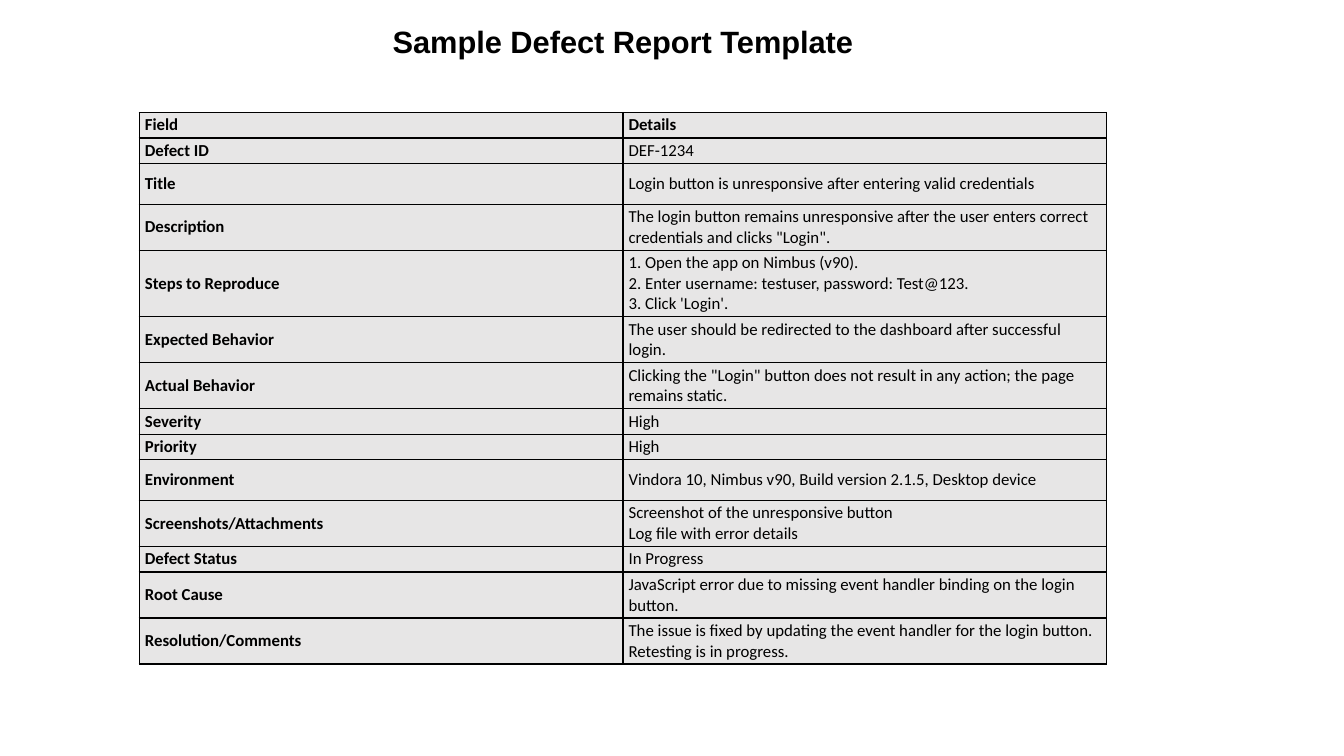
import pptx
import pptx.util
import pptx.dml.color
import pptx.enum.text
import pptx.oxml
import pptx.oxml.ns
from lxml import etree

Pt = pptx.util.Pt

# Content: field, detail lines, row height
HEADING = "Sample Defect Report Template"
ONE_LINE, PADDED, TWO_LINES, THREE_LINES = 18.3, 29, 32.8, 47.3
REPORT = [
    ("Field", ["Details"], ONE_LINE),
    ("Defect ID", ["DEF-1234"], ONE_LINE),
    ("Title", ["Login button is unresponsive after entering valid credentials"], PADDED),
    ("Description", ["The login button remains unresponsive after the user enters "
                     "correct credentials and clicks \"Login\"."], TWO_LINES),
    ("Steps to Reproduce", ["1. Open the app on Nimbus (v90).",
                            "2. Enter username: testuser, password: Test@123.",
                            "3. Click 'Login'."], THREE_LINES),
    ("Expected Behavior", ["The user should be redirected to the dashboard after "
                           "successful login."], TWO_LINES),
    ("Actual Behavior", ["Clicking the \"Login\" button does not result in any action; "
                         "the page remains static."], TWO_LINES),
    ("Severity", ["High"], ONE_LINE),
    ("Priority", ["High"], ONE_LINE),
    ("Environment", ["Vindora 10, Nimbus v90, Build version 2.1.5, Desktop device"], PADDED),
    ("Screenshots/Attachments", ["Screenshot of the unresponsive button",
                                 "Log file with error details"], TWO_LINES),
    ("Defect Status", ["In Progress"], ONE_LINE),
    ("Root Cause", ["JavaScript error due to missing event handler binding on the "
                    "login button."], TWO_LINES),
    ("Resolution/Comments", ["The issue is fixed by updating the event handler for the "
                             "login button. Retesting is in progress."], TWO_LINES),
]

THEME = {
    "ink": "000000", "cell": "E7E6E6", "border": 1,
    "heading_font": "Arial", "heading_size": 22,
    "report_font": "Calibri", "report_size": 12,
}

# Layout
SLIDE_W, SLIDE_H = 960, 540
HEADING_BOX = (31, 11.5, 828, 60.5)
REPORT_LEFT, REPORT_TOP, COLUMN_W = 99.5, 80.3, 345.5
CELL_INSET_X, CELL_INSET_Y = 4, 1.8


def rgb(name):
    return pptx.dml.color.RGBColor.from_string(THEME[name])


def write(paragraph, lines, kind, bold):
    for index, line in enumerate(lines):
        if index:
            paragraph.add_line_break()
        run = paragraph.add_run()
        run.text = line
        run.font.name = THEME[kind + "_font"]
        run.font.size = Pt(THEME[kind + "_size"])
        run.font.bold = bold
        run.font.color.rgb = rgb("ink")


def outline(cell):
    qn = pptx.oxml.ns.qn
    properties = cell._tc.get_or_add_tcPr()
    for position, side in enumerate(("a:lnL", "a:lnR", "a:lnT", "a:lnB")):
        edge = etree.Element(qn(side), w=str(Pt(THEME["border"])))
        fill = etree.SubElement(edge, qn("a:solidFill"))
        etree.SubElement(fill, qn("a:srgbClr"), val=THEME["ink"])
        properties.insert(position, edge)


def fill_cell(cell, lines, bold):
    cell.margin_left = cell.margin_right = Pt(CELL_INSET_X)
    cell.margin_top = cell.margin_bottom = Pt(CELL_INSET_Y)
    cell.vertical_anchor = pptx.enum.text.MSO_ANCHOR.MIDDLE
    cell.fill.solid()
    cell.fill.fore_color.rgb = rgb("cell")
    outline(cell)
    write(cell.text_frame.paragraphs[0], lines, "report", bold)


def main():
    deck = pptx.Presentation()
    deck.slide_width, deck.slide_height = Pt(SLIDE_W), Pt(SLIDE_H)
    slide = deck.slides.add_slide(deck.slide_layouts[6])

    # Defect report
    total_height = sum(height for _, _, height in REPORT)
    report = slide.shapes.add_table(
        len(REPORT), 2, Pt(REPORT_LEFT), Pt(REPORT_TOP),
        Pt(2 * COLUMN_W), Pt(total_height)).table
    report.horz_banding = False
    for column in report.columns:
        column.width = Pt(COLUMN_W)
    for index, (field, details, height) in enumerate(REPORT):
        report.rows[index].height = Pt(height)
        fill_cell(report.cell(index, 0), [field], True)
        fill_cell(report.cell(index, 1), details, index == 0)

    # Heading
    heading = slide.shapes.add_textbox(*map(Pt, HEADING_BOX)).text_frame
    heading.word_wrap = True
    heading.vertical_anchor = pptx.enum.text.MSO_ANCHOR.TOP
    heading.margin_top = Pt(5)
    heading.paragraphs[0].alignment = pptx.enum.text.PP_ALIGN.CENTER
    write(heading.paragraphs[0], [HEADING], "heading", True)

    deck.save("out.pptx")


if __name__ == "__main__":
    main()
